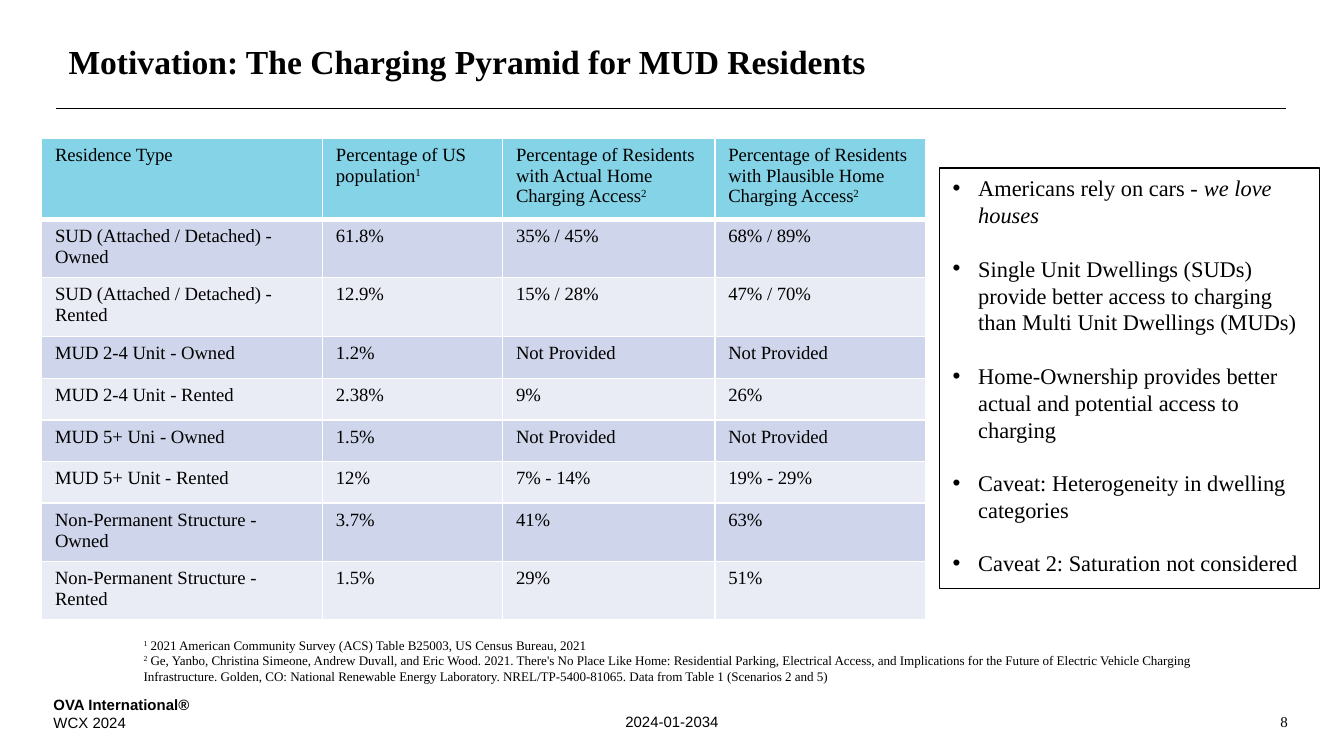
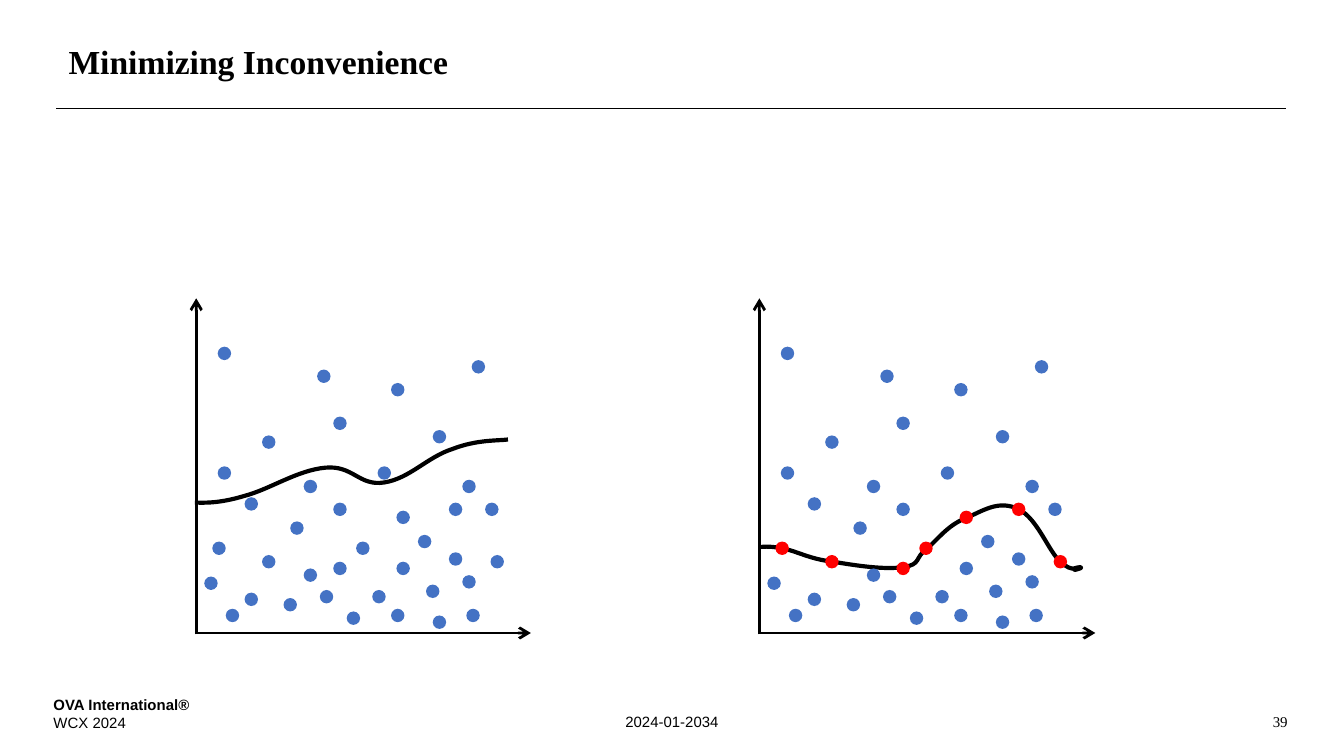
import pptx
import pptx.dml.color
import pptx.enum.shapes
import pptx.enum.text
import pptx.oxml
import pptx.oxml.ns
import pptx.util

RGB = pptx.dml.color.RGBColor
ALIGN = pptx.enum.text.PP_ALIGN
TOP = pptx.enum.text.MSO_ANCHOR.TOP
SHAPE = pptx.enum.shapes.MSO_SHAPE
STRAIGHT = pptx.enum.shapes.MSO_CONNECTOR.STRAIGHT
Pt = pptx.util.Pt
qn = pptx.oxml.ns.qn
NS = pptx.oxml.ns.nsdecls("a")

U = 9144  # EMU per px, 100 px to the inch
BLACK = RGB(0x00, 0x00, 0x00)
WHITE = RGB(0xFF, 0xFF, 0xFF)
HEAD = RGB(0x84, 0xD3, 0xE6)
BANDS = (RGB(0xCF, 0xD5, 0xEA), RGB(0xE9, 0xEB, 0xF5))
BLUE = RGB(0x44, 0x72, 0xC4)
RED = RGB(0xFF, 0x00, 0x00)
SERIF = "Times New Roman"
SANS = "Arial"


def write(frame, paras, size, font=SERIF, align=ALIGN.LEFT):
    """Fill a frame; each paragraph is a list of (text, style) with style b, i, sup or empty."""
    frame.word_wrap = True
    for i, runs in enumerate(paras):
        para = frame.add_paragraph() if i else frame.paragraphs[0]
        para.alignment = align
        for text, style in runs:
            run = para.add_run()
            run.text = text
            run.font.size = Pt(size)
            run.font.name = font
            run.font.color.rgb = BLACK
            run.font.bold = style == "b"
            run.font.italic = style == "i"
            if style == "sup":
                run._r.get_or_add_rPr().set("baseline", "30000")


def rule(shapes, x1, y1, x2, y2, width, arrow=False):
    line = shapes.add_connector(STRAIGHT, x1 * U, y1 * U, x2 * U, y2 * U)
    line.line.color.rgb = BLACK
    line.line.width = Pt(width)
    props = line._element.spPr
    if arrow:
        props.find(qn("a:ln")).append(
            pptx.oxml.parse_xml(f'<a:tailEnd {NS} type="arrow"/>'))
    props.append(pptx.oxml.parse_xml(f"<a:effectLst {NS}/>"))


prs = pptx.Presentation()
prs.slide_width = 1000 * U
prs.slide_height = prs.slide_width * 9 // 16

# Title, rule and footers of every slide
slides = []
for name, num in (("Motivation: The Charging Pyramid for MUD Residents", "8"),
                  ("Minimizing Inconvenience", "39")):
    slide = prs.slides.add_slide(prs.slide_layouts[5])
    slides.append(slide)
    rule(slide.shapes, 42, 81, 957, 81, 0.5)
    title = slide.shapes.title
    title.left, title.top, title.width, title.height = 41 * U, 29 * U, 915 * U, 44 * U
    write(title.text_frame, [[(name, "b")]], 18)
    title.text_frame.vertical_anchor = TOP
    title.text_frame.paragraphs[0].line_spacing = 0.9
    feet = (
        (30, 513, 287, 37, SANS, ALIGN.LEFT,
         [[("OVA International®", "b")], [("WCX 2024", "")]]),
        (331, 525, 338, 23, SANS, ALIGN.CENTER, [[("2024-01-2034", "")]]),
        (753, 525, 215, 23, SERIF, ALIGN.RIGHT, [[(num, "")]]),
    )
    for x, y, w, h, font, align, paras in feet:
        foot = slide.shapes.add_textbox(x * U, y * U, w * U, h * U)
        write(foot.text_frame, paras, 8, font, align)

homes, plots = slides

# Table of charging access; the last mark of a head is its note number
heads = (("Residence Type", ""), ("Percentage of US population", "1"),
         ("Percentage of Residents with Actual Home Charging Access", "2"),
         ("Percentage of Residents with Plausible Home Charging Access", "2"))
data = (
    ("SUD (Attached / Detached) - Owned", "61.8%", "35% / 45%", "68% / 89%"),
    ("SUD (Attached / Detached) - Rented", "12.9%", "15% / 28%", "47% / 70%"),
    ("MUD 2-4 Unit - Owned", "1.2%", "Not Provided", "Not Provided"),
    ("MUD 2-4 Unit - Rented", "2.38%", "9%", "26%"),
    ("MUD 5+ Uni - Owned", "1.5%", "Not Provided", "Not Provided"),
    ("MUD 5+ Unit - Rented", "12%", "7% - 14%", "19% - 29%"),
    ("Non-Permanent Structure - Owned", "3.7%", "41%", "63%"),
    ("Non-Permanent Structure - Rented", "1.5%", "29%", "51%"),
)
grid = [[[(text, ""), (note, "sup")] if note else [(text, "")] for text, note in heads]]
grid += [[[(text, "")] for text in row] for row in data]
wides = (209, 134, 158, 157)
talls = (59, 43, 44, 31, 31, 31, 31, 43, 43)
table = homes.shapes.add_table(len(talls), len(wides), 31 * U, 103 * U,
                               sum(wides) * U, sum(talls) * U).table
table.first_row = table.horz_banding = False
for col, wide in zip(table.columns, wides):
    col.width = wide * U
for r, tall in enumerate(talls):
    table.rows[r].height = tall * U
    for c, runs in enumerate(grid[r]):
        cell = table.cell(r, c)
        write(cell.text_frame, [runs], 10)
        props = cell._tc.get_or_add_tcPr()
        for side in "LRTB":
            thick = 3 if (r, side) in ((0, "B"), (1, "T")) else 1
            props.append(pptx.oxml.parse_xml(
                f'<a:ln{side} {NS} w="{Pt(thick)}"><a:solidFill>'
                f'<a:srgbClr val="{WHITE}"/></a:solidFill></a:ln{side}>'))
        cell.fill.solid()
        cell.fill.fore_color.rgb = BANDS[(r - 1) % 2] if r else HEAD

notes = homes.shapes.add_textbox(97 * U, 469 * U, 804 * U, 45 * U)
write(notes.text_frame, [
    [("1", "sup"),
     (" 2021 American Community Survey (ACS) Table B25003, US Census Bureau, 2021", "")],
    [("2", "sup"),
     (" Ge, Yanbo, Christina Simeone, Andrew Duvall, and Eric Wood. 2021. There's No Place "
      "Like Home: Residential Parking, Electrical Access, and Implications for the Future of "
      "Electric Vehicle Charging Infrastructure. Golden, CO: National Renewable Energy "
      "Laboratory. NREL/TP-5400-81065. Data from Table 1 (Scenarios 2 and 5)", "")],
], 7)

points = homes.shapes.add_shape(SHAPE.RECTANGLE, 699 * U, 125 * U, 283 * U, 313 * U)
points.shadow.inherit = False
points.fill.background()
points.line.color.rgb = BLACK
points.line.width = Pt(0.75)
points.text_frame.vertical_anchor = TOP
write(points.text_frame, [
    [("Americans rely on cars - ", ""), ("we love houses", "i")],
    [("Single Unit Dwellings (SUDs) provide better access to charging "
      "than Multi Unit Dwellings (MUDs)", "")],
    [("Home-Ownership provides better actual and potential access to charging", "")],
    [("Caveat: Heterogeneity in dwelling categories", "")],
    [("Caveat 2: Saturation not considered", "")],
], 12)
for i, para in enumerate(points.text_frame.paragraphs):
    if i:
        para.space_before = Pt(14.2)
    props = para._p.get_or_add_pPr()
    props.set("marL", str(19 * U))
    props.set("indent", str(-19 * U))
    props.append(pptx.oxml.parse_xml(f'<a:buFont {NS} typeface="{SANS}"/>'))
    props.append(pptx.oxml.parse_xml(f'<a:buChar {NS} char="•"/>'))

# Two scatter plots of the same dots, x counted from the left of each plot
dots = (
    (50, 413), (37, 441), (66, 445), (13, 403), (93, 439), (71, 388), (103, 418), (132, 439),
    (113, 455), (172, 435), (150, 418), (146, 453), (166, 398), (199, 428), (177, 458),
    (202, 453), (220, 413), (189, 411), (81, 423), (23, 453), (7, 429), (120, 403), (136, 347),
    (199, 357), (189, 374), (103, 374), (216, 374), (150, 380), (81, 357), (37, 370), (17, 347),
    (50, 324), (103, 310), (177, 320), (206, 268), (146, 285), (91, 275), (17, 258),
)
hits = {(50, 413), (13, 403), (103, 418), (220, 413), (120, 403), (189, 374), (150, 380)}
# Each curve is a start, then two handles and an end for every cubic piece
low = ((0, 407),
       (3, 407), (6, 406), (17, 408), (28, 410), (37, 416), (55, 418),
       (73, 421), (93, 424), (107, 422), (121, 420), (115, 415), (125, 408),
       (134, 400), (141, 390), (155, 385), (168, 379), (179, 372), (193, 379),
       (207, 386), (215, 410), (224, 418), (234, 427), (236, 421), (239, 422),
       (242, 423), (227, 426), (239, 422))
high = ((0, 374),
        (6, 374), (17, 375), (37, 369), (56, 364), (76, 350), (97, 348),
        (118, 346), (122, 362), (141, 359), (160, 356), (173, 340), (192, 334),
        (210, 327), (226, 328), (233, 327))

for left, foot, curve, reds, order in (
        (564, 565, low, hits, ("curve", "dots")),
        (145, 145, high, set(), ("dots", "curve"))):
    shapes = plots.shapes.add_group_shape().shapes
    for part in order:
        if part == "curve":
            start, *trail = [((foot + x) * U, y * U) for x, y in curve]
            pen = shapes.build_freeform(*start)
            pen.add_line_segments(trail, close=False)
            trace = pen.convert_to_shape()
            trace.shadow.inherit = False
            trace.fill.background()
            trace.line.color.rgb = BLACK
            trace.line.width = Pt(2.25)
            # Join every three straight steps into one cubic piece
            steps = list(trace._element.iter(qn("a:lnTo")))
            for one, two, end in zip(steps[::3], steps[1::3], steps[2::3]):
                bend = pptx.oxml.parse_xml(f"<a:cubicBezTo {NS}/>")
                one.addprevious(bend)
                for step in (one, two, end):
                    bend.append(step[0])
                    step.getparent().remove(step)
        else:
            rule(shapes, left + 1, 472, left + 1, 222, 1.5, arrow=True)
            rule(shapes, foot, 471, foot + 250, 471, 1.5, arrow=True)
            for x, y in dots:
                dot = shapes.add_shape(SHAPE.OVAL, (left + x) * U, y * U, 10 * U, 10 * U)
                dot.shadow.inherit = False
                dot.fill.solid()
                dot.fill.fore_color.rgb = RED if (x, y) in reds else BLUE
                dot.line.fill.background()

prs.save("out.pptx")
